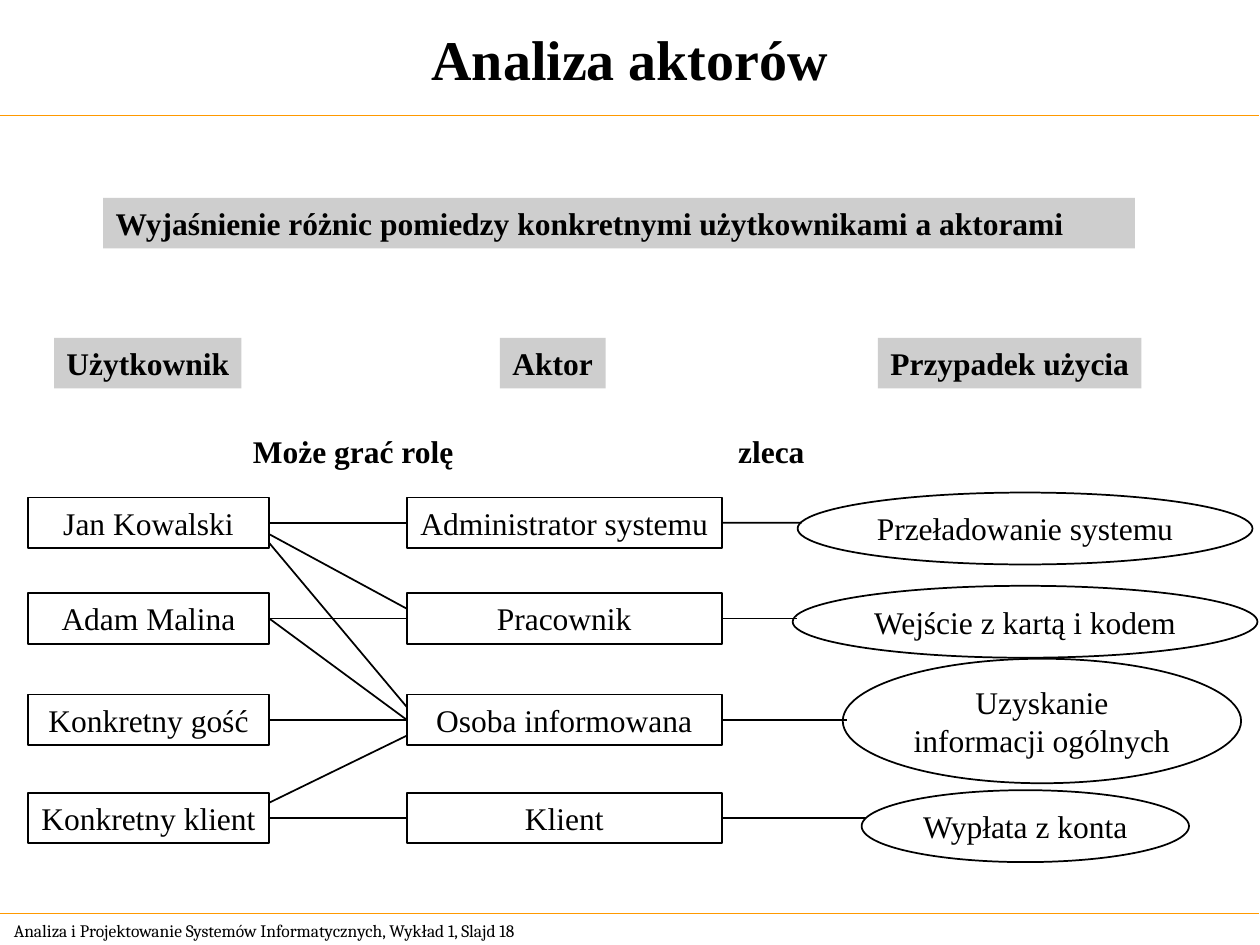
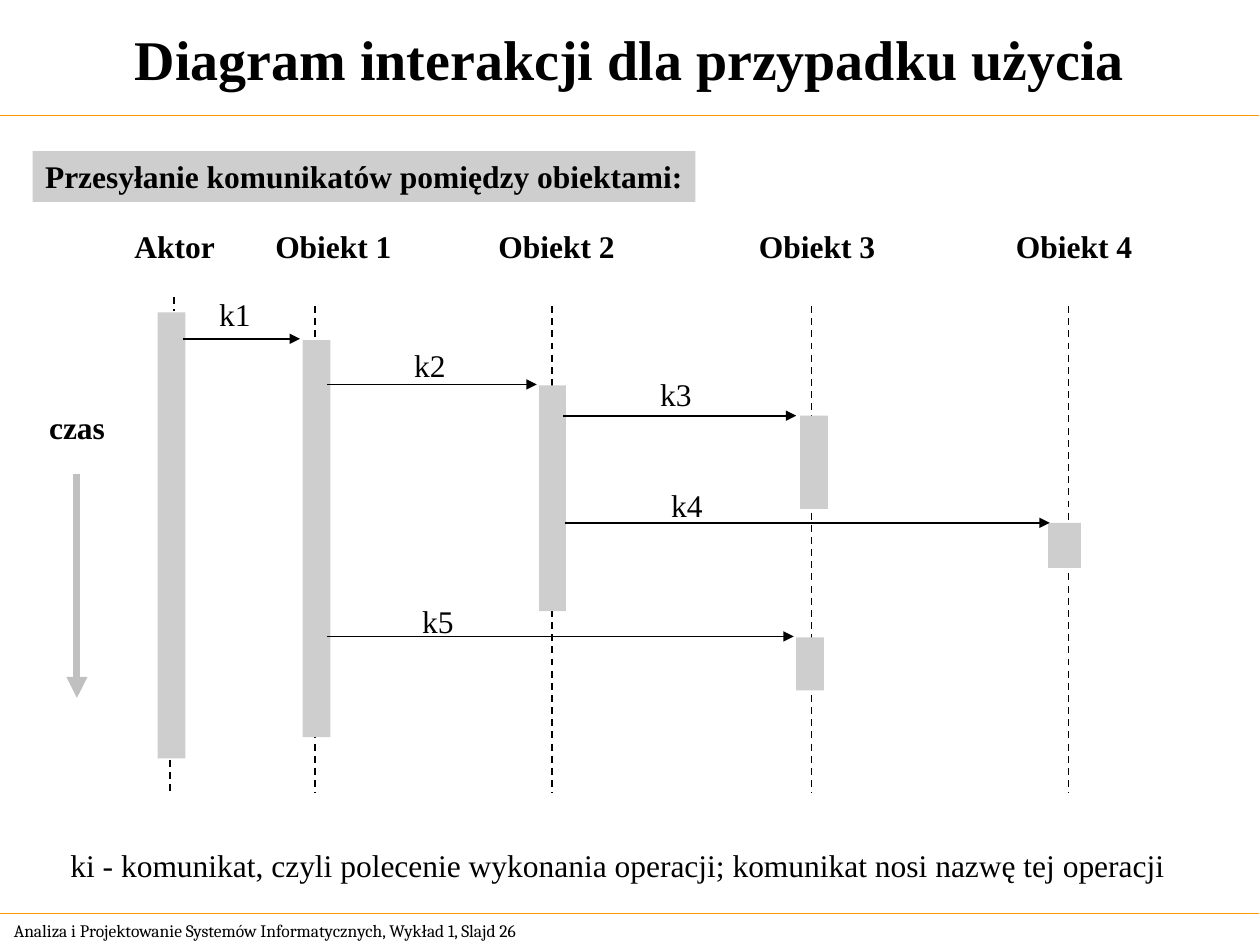
from pptx import Presentation
from pptx.dml.color import RGBColor
from pptx.enum.dml import MSO_LINE
from pptx.enum.shapes import MSO_CONNECTOR, MSO_SHAPE
from pptx.enum.text import MSO_ANCHOR, MSO_AUTO_SIZE, PP_ALIGN
from pptx.oxml.ns import qn
from pptx.oxml.xmlchemy import OxmlElement
from pptx.util import Cm, Pt

COLORS = {"ink": "000000", "band": "CECECE", "rule": "FF9900", "time": "C0C0C0"}
BODY = {"name": "Times New Roman", "size": Pt(18), "bold": False}
HEADING = {**BODY, "bold": True}
TITLE = {**HEADING, "size": Pt(32)}
FOOTER = {"name": "Cambria", "size": Pt(10), "bold": False}
ROW_H = 1.02


def add_box(s, text, box, font=BODY, kind=None, fill=None, line=None,
            align=PP_ALIGN.LEFT, anchor=MSO_ANCHOR.TOP, wrap=False):
    """Add a preset shape, or a text box when kind is None; box is in cm."""
    place = [Cm(v) for v in box]
    if kind is None:
        sp = s.shapes.add_textbox(*place)
        sp.text_frame.auto_size = MSO_AUTO_SIZE.SHAPE_TO_FIT_TEXT
    else:
        sp = s.shapes.add_shape(kind, *place)
        sp.shadow.inherit = False
        if fill:
            sp.fill.solid()
            sp.fill.fore_color.rgb = RGBColor.from_string(COLORS[fill])
        else:
            sp.fill.background()
        if line:
            sp.line.color.rgb = RGBColor.from_string(COLORS[line])
            sp.line.width = Pt(1)
        else:
            sp.line.fill.background()
    tf = sp.text_frame
    tf.text = text
    tf.word_wrap = wrap
    tf.vertical_anchor = anchor
    for p in tf.paragraphs:
        p.alignment = align
        for key, value in font.items():
            setattr(p.font, key, value)
        p.font.color.rgb = RGBColor.from_string(COLORS["ink"])
    return sp


def add_line(s, x1, y1, x2, y2, color="ink", width=1, dash=False, arrow=False):
    cxn = s.shapes.add_connector(MSO_CONNECTOR.STRAIGHT, Cm(x1), Cm(y1), Cm(x2), Cm(y2))
    cxn.line.color.rgb = RGBColor.from_string(COLORS[color])
    cxn.line.width = Pt(width)
    if dash:
        cxn.line.dash_style = MSO_LINE.DASH
    spPr = cxn._element.spPr
    if arrow:
        head = OxmlElement("a:tailEnd")
        head.set("type", "triangle")
        spPr.find(qn("a:ln")).append(head)
    spPr.append(OxmlElement("a:effectLst"))
    return cxn


prs = Presentation()
prs.slide_width, prs.slide_height = Cm(25.4), Cm(19.05)

# Title, rules and footer of every slide
slides = []
for title, number in [("Analiza aktorów", 18),
                      ("Diagram interakcji dla przypadku użycia", 26)]:
    s = prs.slides.add_slide(prs.slide_layouts[5])
    sp = s.shapes.title
    for key, value in {"left": 0, "top": 0, "width": 25.4, "height": 2.34}.items():
        setattr(sp, key, Cm(value))
    tf = sp.text_frame
    tf.text = title
    tf.vertical_anchor = MSO_ANCHOR.MIDDLE
    p = tf.paragraphs[0]
    p.alignment = PP_ALIGN.CENTER
    for key, value in TITLE.items():
        setattr(p.font, key, value)
    p.font.color.rgb = RGBColor.from_string(COLORS["ink"])
    for y in (2.33, 18.41):
        add_line(s, 0, y, 25.38, y, "rule", 0.75)
    add_box(s, f"Analiza i Projektowanie Systemów Informatycznych, Wykład 1, Slajd {number}",
            (0.03, 18.42, 12.07, 0.69), FOOTER, anchor=MSO_ANCHOR.MIDDLE, wrap=True)
    slides.append(s)
actors_slide, messages_slide = slides

# Slide 1: users, actors and use cases
s = actors_slide
for text, x, y, w in [
    ("Wyjaśnienie różnic pomiedzy konkretnymi użytkownikami a aktorami", 2.08, 3.99, 20.8),
    ("Użytkownik", 1.09, 6.81, 3.78),
    ("Aktor", 10.08, 6.81, 2.13),
    ("Przypadek użycia", 17.7, 6.81, 5.31),
]:
    add_box(s, text, (x, y, w, ROW_H), HEADING, MSO_SHAPE.RECTANGLE, "band")
for text, x, w in [("Może grać rolę", 4.85, 4.6), ("zleca", 14.63, 1.9)]:
    add_box(s, text, (x, 8.59, w, ROW_H), HEADING)

rows = [
    ("Jan Kowalski", "Administrator systemu", 10.03,
     "Przeładowanie systemu", (16.08, 9.93, 9.17, 1.45)),
    ("Adam Malina", "Pracownik", 11.96,
     "Wejście z kartą i kodem", (15.98, 11.81, 9.37, 1.45)),
    ("Konkretny gość", "Osoba informowana", 14,
     "Uzyskanie\ninformacji ogólnych", (16.99, 13.28, 8.03, 2.51)),
    ("Konkretny klient", "Klient", 15.98,
     "Wypłata z konta", (17.37, 15.93, 6.6, 1.45)),
]
USER_X, USER_W, ACTOR_X, ACTOR_W = 0.56, 4.87, 8.2, 6.35
USER_RIGHT, ACTOR_RIGHT = USER_X + USER_W, ACTOR_X + ACTOR_W
outline = {"line": "ink", "align": PP_ALIGN.CENTER}
users, actors = [], []
for user, actor, y, use_case, oval in rows:
    users.append(add_box(s, user, (USER_X, y, USER_W, ROW_H),
                         kind=MSO_SHAPE.RECTANGLE, **outline))
    actors.append(add_box(s, actor, (ACTOR_X, y, ACTOR_W, ROW_H),
                          kind=MSO_SHAPE.RECTANGLE, **outline))
    add_box(s, use_case, oval, kind=MSO_SHAPE.OVAL, **outline)
    middle = y + ROW_H / 2
    cxn = add_line(s, ACTOR_RIGHT, middle, oval[0] + 0.08, middle)
    cxn.begin_connect(actors[-1], 3)

for user, actor in [(0, 0), (1, 1), (2, 2), (3, 3), (1, 2)]:
    cxn = add_line(s, USER_RIGHT, 0, ACTOR_X, 0)
    cxn.begin_connect(users[user], 3)
    cxn.end_connect(actors[actor], 1)
for user_y, actor_y in [(10.77, 12.27), (10.95, 14.25), (16.18, 14.83)]:
    add_line(s, USER_RIGHT, user_y, ACTOR_X, actor_y)

# Slide 2: messages between objects over time
s = messages_slide
add_box(s, "Przesyłanie komunikatów pomiędzy obiektami:", (0.66, 3.05, 13.36, ROW_H),
        HEADING, MSO_SHAPE.RECTANGLE, "band")

add_box(s, "Aktor", (2.46, 4.45, 2.13, ROW_H), HEADING)
add_line(s, 3.51, 5.99, 3.51, 6.27, dash=True)
add_line(s, 3.43, 15.32, 3.43, 16, dash=True)
for i, (heading_x, life_x) in enumerate(
        [(5.3, 6.35), (9.8, 11.13), (15.05, 16.36), (20.23, 21.54)], 1):
    add_box(s, f"Obiekt {i}", (heading_x, 4.45, 2.9, ROW_H), HEADING)
    add_line(s, life_x, 6.17, life_x, 15.98, dash=True)

for activation in [
    (3.18, 6.3, 0.56, 8.99),
    (6.1, 6.86, 0.56, 8),
    (10.87, 7.77, 0.54, 4.55),
    (16.13, 8.38, 0.56, 1.88),
    (21.13, 10.54, 0.66, 0.91),
    (16.05, 12.85, 0.56, 1.07),
]:
    add_box(s, "", activation, kind=MSO_SHAPE.RECTANGLE, fill="band")

for i, (x1, x2, y, label_x, label_y) in enumerate([
    (3.68, 6.05, 6.83, 4.17, 5.82),
    (6.6, 10.82, 7.75, 8.1, 6.86),
    (11.35, 16.05, 8.38, 13.06, 7.44),
    (11.38, 21.16, 10.54, 13.28, 9.68),
    (6.6, 16, 12.83, 8.26, 12.01),
], 1):
    add_line(s, x1, y, x2, y, arrow=True)
    add_box(s, f"k{i}", (label_x, label_y, 1.14, ROW_H))

add_box(s, "czas", (0.74, 8.1, 1.63, ROW_H), HEADING)
add_line(s, 1.55, 9.55, 1.55, 14.07, "time", 4, arrow=True)
add_box(s, "ki - komunikat, czyli polecenie wykonania operacji; "
           "komunikat nosi nazwę tej operacji", (1.17, 16.94, 22.91, 1.12), wrap=True)

prs.save("out.pptx")
